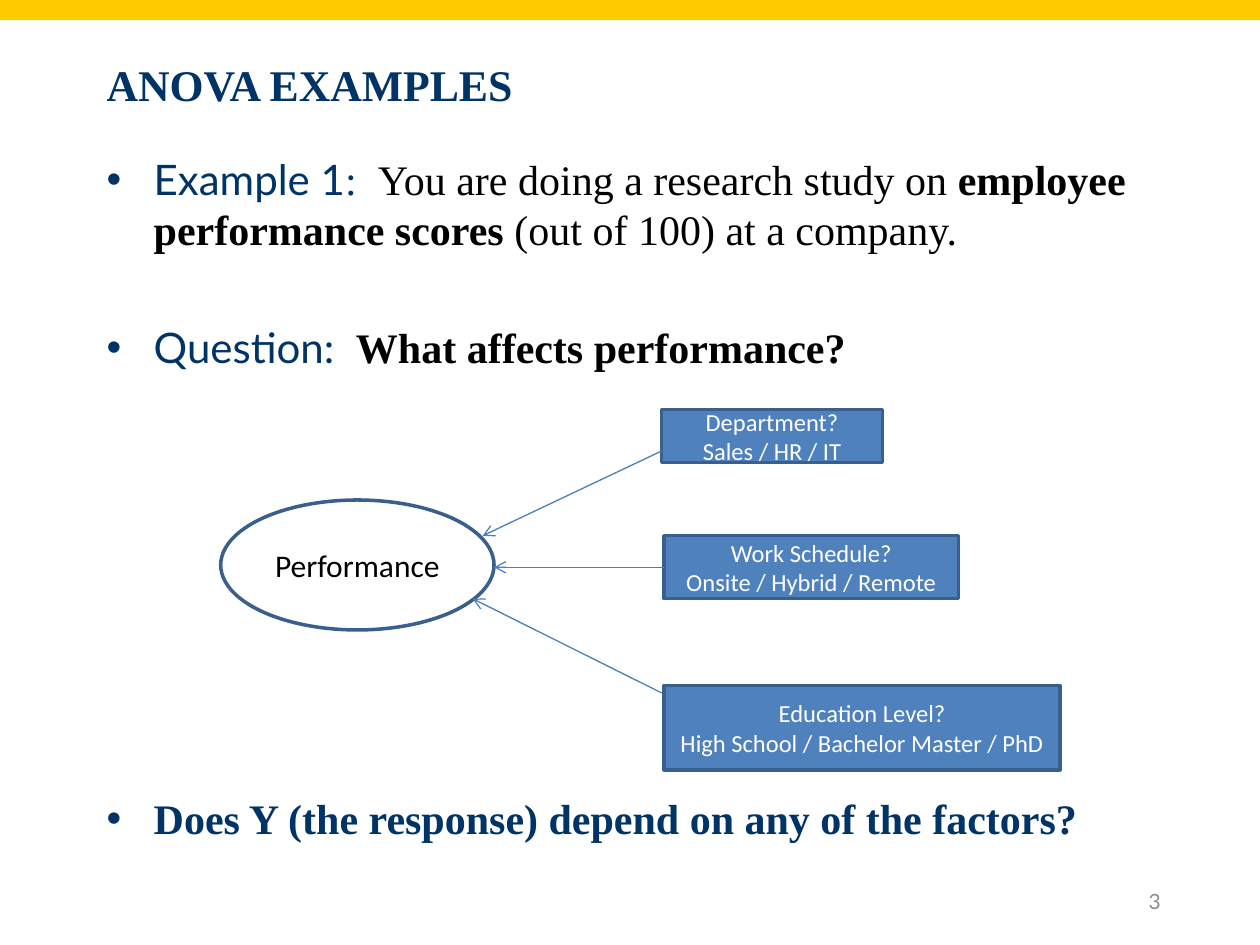
from pptx import Presentation
from pptx.dml.color import RGBColor
from pptx.enum.shapes import MSO_CONNECTOR as Connector, MSO_SHAPE as Shape
from pptx.enum.text import MSO_ANCHOR as Anchor, PP_ALIGN as Align
from pptx.oxml.ns import qn
from pptx.util import Cm, Pt
from lxml.etree import SubElement

GOLD = RGBColor(0xFF, 0xCC, 0x00)
NAVY = RGBColor(0x00, 0x33, 0x66)
BLACK = RGBColor(0x00, 0x00, 0x00)
WHITE = RGBColor(0xFF, 0xFF, 0xFF)
GRAY = RGBColor(0x8C, 0x8C, 0x8C)
BLUE = RGBColor(0x4F, 0x81, 0xBD)
OUTLINE = RGBColor(0x3A, 0x5F, 0x8C)
ARROW = RGBColor(0x4B, 0x7E, 0xBC)
SERIF, SANS, LABEL = "Times New Roman", "Lato", "Calibri"

TITLE = "ANOVA EXAMPLES"
PAGE_NUMBER = "3"
BULLETS = [
    (0, [("Example 1", SANS, NAVY, False),
         (":  ", SERIF, NAVY, False),
         ("You are doing a research study on ", SERIF, BLACK, False),
         ("employee performance scores", SERIF, BLACK, True),
         (" (out of 100) at a company.", SERIF, BLACK, False)]),
    (38.5, [("Question:  ", SANS, NAVY, False),
            ("What affects performance?", SERIF, BLACK, True)]),
    (240.5, [("Does Y (the response) depend on any of the factors?", SERIF, NAVY, True)]),
]
RESPONSE = (["Performance"], (4.45, 10.08, 5.51, 2.62))
FACTORS = [
    (["Department?", "Sales / HR / IT"], (13.34, 8.26, 4.45, 1.07)),
    (["Work Schedule?", "Onsite / Hybrid / Remote"], (13.39, 10.8, 5.93, 1.27)),
    (["Education Level?", "High School / Bachelor Master / PhD"], (13.39, 13.82, 7.98, 1.7)),
]
ARROWS = [
    ((13.34, 9.09), (9.73, 10.8)),
    ((13.39, 11.44), (9.96, 11.44)),
    ((13.34, 13.97), (9.53, 12.07)),
]


def style(span, font, size, color, bold=False):
    span.font.name = font
    span.font.size = Pt(size)
    span.font.color.rgb = color
    span.font.bold = bold


def add_text(page, place, anchor=Anchor.TOP):
    frame = page.shapes.add_textbox(*map(Cm, place)).text_frame
    frame.word_wrap = True
    frame.vertical_anchor = anchor
    return frame


def add_line_of_text(page, place, text, align, *look):
    para = add_text(page, place, Anchor.MIDDLE).paragraphs[0]
    para.text = text
    para.alignment = align
    style(para.runs[0], *look)


def add_bullets(page, place):
    frame = add_text(page, place)
    for index, (gap, spans) in enumerate(BULLETS):
        para = frame.add_paragraph() if index else frame.paragraphs[0]
        para.space_before = Pt(gap)
        for text, font, color, bold in spans:
            span = para.add_run()
            span.text = text
            style(span, font, 24, color, bold)
        properties = para._p.get_or_add_pPr()
        properties.set("marL", str(Cm(0.95)))
        properties.set("indent", str(-Cm(0.95)))
        SubElement(properties, qn("a:buFont")).set("typeface", "Arial")
        SubElement(properties, qn("a:buChar")).set("char", "•")


def add_node(page, kind, lines, place, fill, color, size):
    node = page.shapes.add_shape(kind, *map(Cm, place))
    node.shadow.inherit = False
    node.fill.solid()
    node.fill.fore_color.rgb = fill
    node.line.color.rgb = OUTLINE
    node.line.width = Pt(2)
    frame = node.text_frame
    frame.text = "\n".join(lines)
    frame.word_wrap = True
    frame.vertical_anchor = Anchor.MIDDLE
    for para in frame.paragraphs:
        para.alignment = Align.CENTER
        style(para.runs[0], LABEL, size, color)
    return node


def add_arrow(page, start, end):
    arrow = page.shapes.add_connector(Connector.STRAIGHT, *map(Cm, start + end))
    arrow.line.color.rgb = ARROW
    arrow.line.width = Pt(0.75)
    SubElement(arrow.line._get_or_add_ln(), qn("a:tailEnd")).set("type", "arrow")
    SubElement(arrow._element.spPr, qn("a:effectLst"))
    return arrow


def main():
    deck = Presentation()
    deck.slide_width, deck.slide_height = Cm(25.4), Cm(19.05)
    page = deck.slides.add_slide(deck.slide_layouts[6])

    band = page.shapes.add_shape(Shape.RECTANGLE, 0, 0, deck.slide_width, Cm(0.41))
    band.shadow.inherit = False
    band.fill.solid()
    band.fill.fore_color.rgb = GOLD
    band.line.fill.background()

    add_line_of_text(page, (1.9, 0.64, 21.59, 2.11), TITLE, Align.LEFT, SERIF, 25, NAVY, True)
    add_bullets(page, (1.9, 2.97, 21.59, 12.5))
    add_line_of_text(page, (17.93, 17.65, 5.72, 1.02), PAGE_NUMBER, Align.RIGHT, SANS, 12, GRAY)

    add_node(page, Shape.OVAL, *RESPONSE, WHITE, BLACK, 18)
    factors = [add_node(page, Shape.RECTANGLE, *factor, BLUE, WHITE, 14) for factor in FACTORS]
    arrows = [add_arrow(page, *ends) for ends in ARROWS]
    arrows[1].begin_connect(factors[1], 1)
    arrows[1].end_y = arrows[1].begin_y

    deck.save("out.pptx")


if __name__ == "__main__":
    main()
